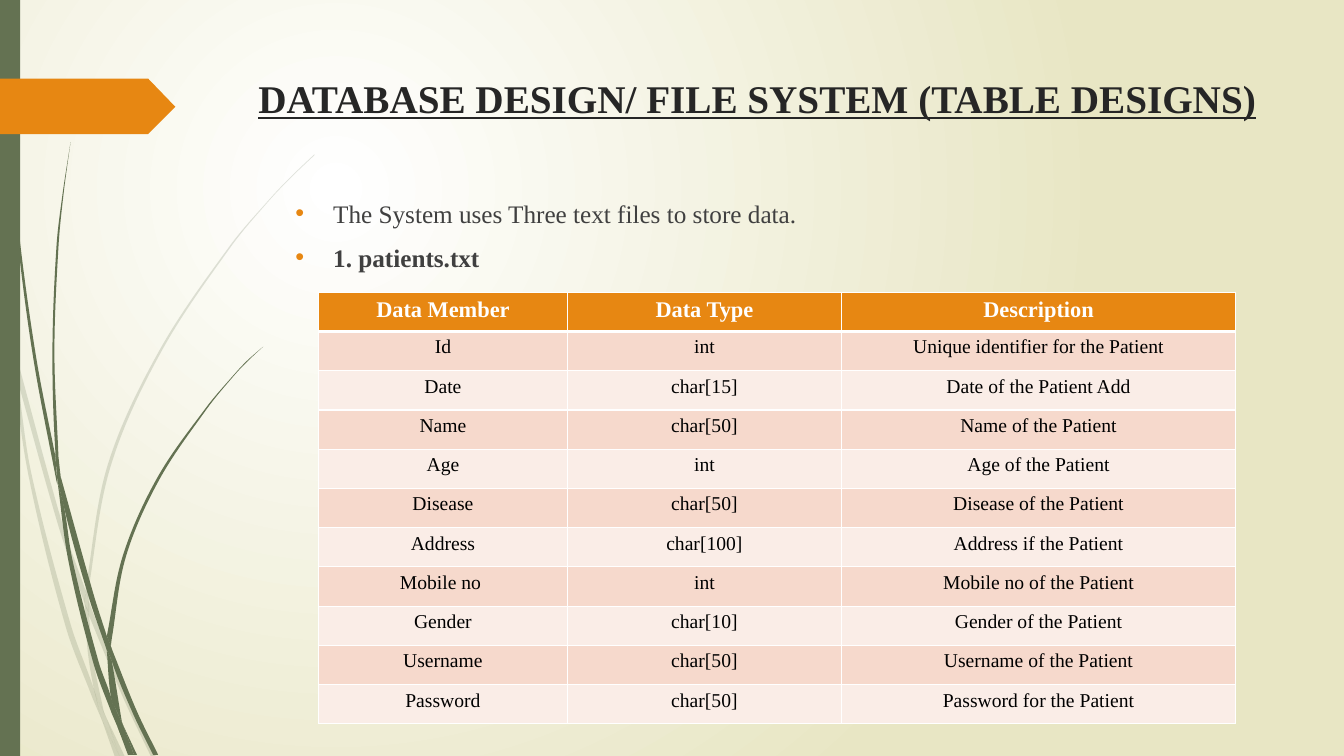
"""Build a slide that shows the fields of the patients file in a table."""
from math import dist
from typing import NamedTuple

from lxml import etree
from pptx import Presentation
from pptx import util as u
from pptx.dml.color import RGBColor
from pptx.enum import shapes, text
from pptx.oxml import ns

WHITE = RGBColor(0xFF, 0xFF, 0xFF)
BLACK = RGBColor(0, 0, 0)
SAND = RGBColor(0xE8, 0xE6, 0xC4)
GREEN = RGBColor(0x64, 0x72, 0x52)
ORANGE = RGBColor(0xE7, 0x87, 0x12)
DARK = RGBColor(0x26, 0x26, 0x26)
GREY = RGBColor(0x40, 0x40, 0x40)
BANDS = (RGBColor(0xF6, 0xD9, 0xCC), RGBColor(0xFA, 0xED, 0xE7))
FONT = "Times New Roman"
INCH = 72
Spot = tuple[float, float]


class Leaf(NamedTuple):
    """A part of a blade of grass, bounded by two smooth edges in inches."""
    out: list[Spot]
    back: list[Spot]


class Field(NamedTuple):
    """A table row for one data member."""
    name: str
    kind: str
    about: str


PALE = [
    Leaf([(0, 2.82), (0.09, 3.22), (0.11, 3.5)], [(0.1, 3.44), (0, 2.99)]),
    Leaf([(0.14, 3.45), (0.62, 5.2), (0.85, 5.86)], [(0.84, 5.99), (0.58, 5.22), (0.17, 3.76)]),
    Leaf([(0.88, 5.96), (0.92, 6.07), (1.27, 6.92), (1.55, 7.51)],
         [(1.5, 7.51), (1.23, 6.94), (0.88, 6.1)]),
    Leaf([(1.05, 7.11), (1.24, 7.51)], [(1.19, 7.51), (1.05, 7.11)]),
    Leaf([(0.11, 3.5), (0.17, 3.76), (0.31, 4.69), (0.7, 6.19), (0.93, 6.83), (0.99, 7.07),
          (1.01, 7.14)], [(0.92, 6.93), (0.65, 6.21), (0.28, 4.7), (0.11, 3.5)]),
    Leaf([(0.84, 5.99), (0.88, 6.08), (0.91, 6.46), (1.03, 7.06), (1.05, 7.11)],
         [(0.96, 6.92), (0.93, 6.83), (0.87, 6.46), (0.84, 5.99)]),
    Leaf([(3.12, 1.53), (2.89, 1.75), (2.68, 1.97), (2.28, 2.44), (1.58, 3.48), (1.07, 4.61),
          (0.85, 5.84), (0.85, 5.86)],
         [(0.88, 5.96), (0.88, 5.84), (1.1, 4.62), (1.6, 3.49), (2.29, 2.45), (2.68, 1.98),
          (2.9, 1.75), (3.12, 1.54)]),
    Leaf([(1.01, 7.14), (1.14, 7.51)], [(1.19, 7.51), (1.01, 7.14)]),
    Leaf([(0.85, 5.86), (0.88, 5.96), (0.88, 6.1)], [(0.88, 6.08), (0.84, 5.99), (0.85, 5.86)]),
    Leaf([(0.93, 6.83), (0.96, 6.92), (1.05, 7.11), (1.19, 7.51)],
         [(1.01, 7.14), (0.99, 7.07), (0.93, 6.83)]),
]
DEEP = [
    Leaf([(0.03, 0), (0.04, 0.48), (0.07, 1.1), (0.17, 2.33), (0.33, 3.55), (0.56, 4.77),
          (0.57, 4.81)],
         [(0.55, 4.53), (0.36, 3.55), (0.19, 2.32), (0.08, 1.09), (0.05, 0.48), (0.04, 0)]),
    Leaf([(0.6, 4.72), (0.93, 5.9), (1.06, 6.31)],
         [(1.06, 6.45), (0.88, 5.92), (0.64, 5.05), (0.6, 4.72)]),
    Leaf([(1.1, 6.41), (1.13, 6.49), (1.36, 7.06), (1.57, 7.49)],
         [(1.52, 7.49), (1.32, 7.08), (1.11, 6.56), (1.1, 6.41)]),
    Leaf([(0.57, 4.77), (0.64, 5.05), (0.72, 5.56), (0.98, 6.57), (1.1, 6.91), (1.17, 7.22)],
         [(1.11, 7.08), (0.93, 6.59), (0.68, 5.57), (0.57, 4.77)]),
    Leaf([(0.7, 1.41), (0.62, 1.93), (0.56, 2.45), (0.52, 3.49), (0.55, 4.49), (0.6, 4.72)],
         [(0.58, 4.53), (0.54, 3.49), (0.58, 2.45), (0.63, 1.93), (0.7, 1.41)]),
    Leaf([(1.22, 7.19), (1.36, 7.49)], [(1.33, 7.49), (1.22, 7.19)]),
    Leaf([(0.55, 4.49), (0.6, 4.72), (0.64, 5.05)], [(0.57, 4.77), (0.55, 4.53)]),
    Leaf([(2.61, 3.44), (2.45, 3.58), (2.31, 3.73), (2.04, 4.05), (1.56, 4.74), (1.22, 5.51),
          (1.06, 6.31)],
         [(1.1, 6.41), (1.11, 6.33), (1.25, 5.52), (1.58, 4.76), (2.05, 4.06), (2.31, 3.74),
          (2.45, 3.59), (2.61, 3.44)]),
    Leaf([(1.17, 7.22), (1.31, 7.49)], [(1.27, 7.49), (1.17, 7.22)]),
    Leaf([(1.06, 6.45), (1.09, 6.51), (1.11, 6.56), (1.21, 7.16), (1.22, 7.19)],
         [(1.16, 7.06), (1.1, 6.91), (1.06, 6.45)]),
    Leaf([(1.06, 6.31), (1.1, 6.41), (1.11, 6.56)], [(1.09, 6.51), (1.06, 6.45)]),
    Leaf([(1.1, 6.91), (1.16, 7.06), (1.22, 7.19), (1.33, 7.49)],
         [(1.3, 7.49), (1.17, 7.22), (1.1, 6.91)]),
]
TAG = Leaf([(0, 0.78), (1.47, 0.78)], [(1.74, 1.06), (1.47, 1.33), (0, 1.33)])
FIELDS = [
    Field("Data Member", "Data Type", "Description"),
    Field("Id", "int", "Unique identifier for the Patient"),
    Field("Date", "char[15]", "Date of the Patient Add"),
    *(Field(*words) for words in (
        ("Name", "char[50]", "Name of the Patient"), ("Age", "int", "Age of the Patient"),
        ("Disease", "char[50]", "Disease of the Patient"),
        ("Address", "char[100]", "Address if the Patient"),
        ("Mobile no ", "int", "Mobile no of the Patient"),
        ("Gender", "char[10]", "Gender of the Patient"),
        ("Username", "char[50]", "Username of the Patient"),
        ("Password", "char[50]", "Password for the Patient"))),
]


def style(para, size: float, color: RGBColor, bold: bool = False) -> None:
    """Format the runs of a paragraph."""
    for run in para.runs:
        run.font.name, run.font.size, run.font.bold = FONT, u.Pt(size), bold
        run.font.color.rgb = color


def place(shape, left: float, top: float, width: float, height: float) -> None:
    """Move a placeholder, raise it to the front and anchor its text at the top."""
    shape.left, shape.top, shape.width, shape.height = map(u.Pt, (left, top, width, height))
    frame = shape.text_frame
    frame.word_wrap, frame.auto_size = True, text.MSO_AUTO_SIZE.NONE
    frame.vertical_anchor = text.MSO_ANCHOR.TOP
    shape.element.getparent().append(shape.element)


def paint(shape, color: RGBColor, alpha: int = 100) -> None:
    """Fill a shape flat, with no line and no shadow."""
    shape.shadow.inherit = False
    shape.fill.solid()
    shape.fill.fore_color.rgb = color
    shape.line.fill.background()
    if alpha < 100:
        tint = shape.element.spPr.find(ns.qn("a:solidFill"))[0]
        etree.SubElement(tint, ns.qn("a:alpha"), val=str(alpha * 1000))


def lean(edge: list[Spot], i: int, reach: float) -> Spot:
    """Return the handle at a spot of an edge, along its tangent."""
    (x, y), (a, b) = edge[max(i - 1, 0)], edge[min(i + 1, len(edge) - 1)]
    part = reach / 3 / dist((x, y), (a, b))
    return edge[i][0] + (a - x) * part, edge[i][1] + (b - y) * part


def draw_leaf(slide, leaf: Leaf, color: RGBColor, alpha: int = 100, bent: bool = True) -> None:
    """Draw a closed outline, with curves in place of its lines if bent."""
    spots = [(u.Pt(x * INCH), u.Pt(y * INCH)) for x, y in leaf.out + leaf.back]
    form = slide.shapes.build_freeform(*spots[0])
    form.add_line_segments(spots[1:], close=True)
    shape = form.convert_to_shape()
    paint(shape, color, alpha)
    lines = list(shape.element.iter(ns.qn("a:lnTo")))
    joint = len(leaf.out)
    for i, line in enumerate(lines[:len(spots) - 1], 1):
        if not bent or i == joint:
            continue
        edge, k = (spots[:joint], i) if i < joint else (spots[joint:], i - joint)
        reach = dist(edge[k - 1], edge[k])
        for n, (x, y) in enumerate((lean(edge, k - 1, reach), lean(edge, k, -reach))):
            knob = etree.Element(ns.qn("a:pt"), x=str(int(x - shape.left)),
                                 y=str(int(y - shape.top)))
            line.insert(n, knob)
        line.tag = ns.qn("a:cubicBezTo")


def draw_back(slide) -> None:
    """Give the slide a round gradient."""
    fill = slide.background.fill
    fill.gradient()
    for stop, color, spot in zip(fill.gradient_stops, (WHITE, SAND), (0, 1)):
        stop.color.rgb, stop.position = color, spot
    grad = slide.element.find(".//" + ns.qn("a:gradFill"))
    grad.remove(grad.find(ns.qn("a:lin")))
    ring = etree.SubElement(grad, ns.qn("a:path"), path="circle")
    etree.SubElement(ring, ns.qn("a:fillToRect"), l="50000", t="50000", r="100000", b="100000")


def add_dot(para) -> None:
    """Give a paragraph an orange bullet and a hanging indent."""
    props = para._p.get_or_add_pPr()
    props.set("marL", str(u.Pt(27)))
    props.set("indent", str(u.Pt(-27)))
    tint = etree.SubElement(props, ns.qn("a:buClr"))
    etree.SubElement(tint, ns.qn("a:srgbClr"), val=str(ORANGE))
    etree.SubElement(props, ns.qn("a:buFont"), typeface="Arial")
    etree.SubElement(props, ns.qn("a:buChar"), char="•")


def edge_cell(cell, row: int) -> None:
    """Give a cell white borders, thick below the header."""
    props = cell._tc.get_or_add_tcPr()
    for i, side in enumerate("LRTB"):
        thick = (row, side) in ((0, "B"), (1, "T"))
        line = etree.Element(ns.qn("a:ln" + side), w=str(u.Pt(3 if thick else 1)))
        fill = etree.SubElement(line, ns.qn("a:solidFill"))
        etree.SubElement(fill, ns.qn("a:srgbClr"), val=str(WHITE))
        props.insert(i, line)


def draw_table(slide) -> None:
    """Draw the table of fields."""
    high = 28.05
    grid = slide.shapes.add_table(len(FIELDS), 3, u.Pt(227.5), u.Pt(208.7), u.Pt(655.2),
                                  u.Pt(high * len(FIELDS))).table
    for col, width in zip(grid.columns, (177.8, 195.8, 281.6)):
        col.width = u.Pt(width)
    for i, field in enumerate(FIELDS):
        grid.rows[i].height = u.Pt(high)
        for cell, words in zip(grid.rows[i].cells, field):
            cell.text_frame.text = words
            para = cell.text_frame.paragraphs[0]
            para.alignment = text.PP_ALIGN.CENTER
            style(para, 14 if i else 16, BLACK if i else WHITE, not i)
            cell.fill.solid()
            cell.fill.fore_color.rgb = BANDS[(i - 1) % 2] if i else ORANGE
            edge_cell(cell, i)


def main() -> None:
    """Build and save the slide."""
    deck = Presentation()
    deck.slide_width, deck.slide_height = u.Pt(960), u.Pt(540)
    slide = deck.slides.add_slide(deck.slide_layouts[1])
    draw_back(slide)
    for leaves, alpha in ((PALE, 20), (DEEP, 100)):
        for leaf in leaves:
            draw_leaf(slide, leaf, GREEN, alpha)
    bar = slide.shapes.add_shape(shapes.MSO_SHAPE.RECTANGLE, 0, 0, u.Pt(14.4), u.Pt(540))
    paint(bar, GREEN)
    draw_leaf(slide, TAG, ORANGE, bent=False)

    title, body = slide.shapes.title, slide.placeholders[1]
    place(title, 175.7, 49.3, 730, 100.8)
    title.text_frame.text = "DATABASE DESIGN/ FILE SYSTEM (TABLE DESIGNS)"
    head = title.text_frame.paragraphs[0]
    head.alignment = text.PP_ALIGN.CENTER
    style(head, 28, DARK, True)
    head.runs[0].font.underline = True

    place(body, 203.8, 137.7, 702, 327.6)
    body.text_frame.text = "The System uses Three text files to store data.\n1. patients.txt"
    for i, para in enumerate(body.text_frame.paragraphs):
        para.space_before = u.Pt(10)
        style(para, 18, GREY, i == 1)
        add_dot(para)
    draw_table(slide)
    deck.save("out.pptx")


if __name__ == "__main__":
    main()
